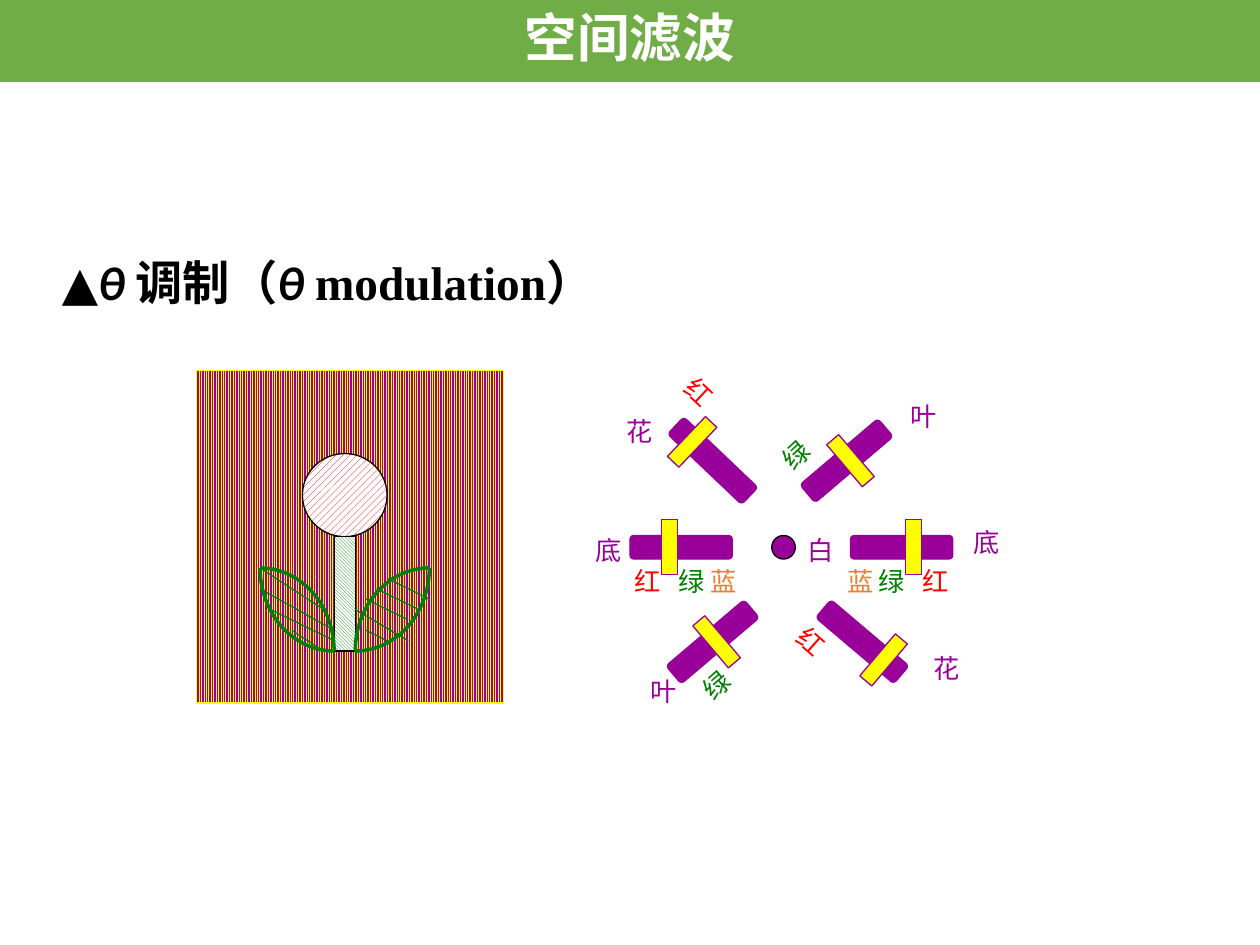
from dataclasses import dataclass
from math import cos, pi, sin

from lxml.etree import SubElement
from pptx import Presentation
from pptx.dml.color import RGBColor
from pptx.enum.dml import MSO_PATTERN
from pptx.enum.shapes import MSO_CONNECTOR, MSO_SHAPE
from pptx.enum.text import MSO_ANCHOR, MSO_AUTO_SIZE, PP_ALIGN
from pptx.oxml.ns import qn
from pptx.util import Inches, Pt


@dataclass
class Theme:
    black: str = "000000"
    white: str = "FFFFFF"
    band: str = "70AD47"
    purple: str = "990099"
    yellow: str = "FFFF00"
    red: str = "FF0000"
    green: str = "008000"
    blue: str = "ED7D31"
    head: int = 30
    title: int = 27
    label: int = 15
    thin: float = 0.75
    thick: float = 2
    sans: str = "Calibri"
    serif: str = "Times New Roman"
    slab: str = "Roboto Slab"


look = Theme()
rgb = RGBColor.from_string


def draw(pen, kind, box, fill, line=None, turn=0, pattern=None):
    """Add a preset shape; with a pattern, fill is (front, back)."""
    shape = pen.add_shape(kind, *[Inches(n) for n in box])
    shape.shadow.inherit = False
    shape.rotation = turn
    if pattern:
        shape.fill.patterned()
        shape.fill.pattern = pattern
        shape.fill.fore_color.rgb = rgb(fill[0])
        shape.fill.back_color.rgb = rgb(fill[1])
    else:
        shape.fill.solid()
        shape.fill.fore_color.rgb = rgb(fill)
    if line:
        shape.line.color.rgb = rgb(line)
        shape.line.width = Pt(look.thin)
    else:
        shape.line.fill.background()
    return shape


def write(para, text, size, font, color, bold=None, italic=None):
    run = para.add_run()
    run.text = text
    run.font.size = Pt(size)
    run.font.name = font
    run.font.color.rgb = rgb(color)
    run.font.bold = bold
    run.font.italic = italic


deck = Presentation()
deck.slide_width, deck.slide_height = Inches(10), Inches(7.5)
slide = deck.slides.add_slide(deck.slide_layouts[5])

# Title
title = slide.shapes.title
title.left, title.top = Inches(0.39), Inches(1.98)
title.width, title.height = Inches(4.53), Inches(0.56)
frame = title.text_frame
frame.word_wrap = True
frame.auto_size = MSO_AUTO_SIZE.NONE
frame.vertical_anchor = MSO_ANCHOR.MIDDLE
para = frame.paragraphs[0]
para.alignment = PP_ALIGN.LEFT
para.line_spacing = 0.9
for text, font, italic in [
    ("▲", look.sans, False), ("θ ", look.sans, True),
    ("调制（", look.sans, False), ("θ ", look.sans, True),
    ("modulation", look.serif, False), ("）", look.sans, False),
]:
    write(para, text, look.title, font, look.black, True, italic)

# Flower on a grid of columns and rows
left, top, col, row = 1.56, 2.94, 0.084, 0.0825
pen = slide.shapes.add_group_shape().shapes
for kind, (x, y, w, h), fill, line, pattern in [
    (MSO_SHAPE.RECTANGLE, (0, 0, 29, 32), (look.yellow, look.purple),
     look.yellow, MSO_PATTERN.LIGHT_VERTICAL),
    (MSO_SHAPE.FLOWCHART_CONNECTOR, (10, 8, 8, 8), (look.red, look.white),
     look.black, MSO_PATTERN.WIDE_UPWARD_DIAGONAL),
    (MSO_SHAPE.RECTANGLE, (13, 16, 2, 11), (look.green, look.white),
     look.black, MSO_PATTERN.DARK_DOWNWARD_DIAGONAL),
]:
    box = (left + x * col, top + y * row, w * col, h * row)
    draw(pen, kind, box, fill, line, pattern=pattern)

# Leaf edges: quarter ellipses around a centre, towards a side
steps = 24
for x, y, across, down in [
    (6, 27, 1, -1), (13, 19, -1, 1), (22, 27, -1, -1), (15, 19, 1, 1),
]:
    dots = []
    for i in range(steps + 1):
        turn = i / steps * pi / 2
        dots.append((Inches(left + (x + across * 7 * sin(turn)) * col),
                     Inches(top + (y + down * 8 * cos(turn)) * row)))
    path = pen.build_freeform(*dots[0])
    path.add_line_segments(dots[1:], close=False)
    edge = path.convert_to_shape()
    edge.shadow.inherit = False
    edge.fill.background()
    edge.line.color.rgb = rgb(look.green)
    edge.line.width = Pt(look.thick)

# Leaf veins
for x, y, to_x, to_y in [
    (6, 19, 12, 23), (6, 21, 13, 25), (7, 23, 13, 26), (9, 25, 12, 27),
    (15, 23, 20, 26), (17, 21, 21, 23), (18, 20, 22, 22),
    (16, 25, 18, 26), (16, 22, 20, 24),
]:
    vein = pen.add_connector(
        MSO_CONNECTOR.STRAIGHT,
        Inches(left + x * col), Inches(top + y * row),
        Inches(left + to_x * col), Inches(top + to_y * row))
    vein.line.color.rgb = rgb(look.green)
    vein.line.width = Pt(look.thin)
    SubElement(vein._element.spPr, qn("a:effectLst"))

# Spectrum on a grid of sixteenths of an inch
unit = 1 / 16
pen = slide.shapes.add_group_shape().shapes
draw(pen, MSO_SHAPE.FLOWCHART_CONNECTOR,
     (98 * unit, 68 * unit, 3 * unit, 3 * unit), look.purple, look.black)

# Each arm is a bar with a slit across it
for bar_x, bar_y, slit_x, slit_y, turn in [
    (80, 68, 84, 66, 0), (103, 80, 111.2, 80.3, 40.3),
    (84, 57, 86.9, 52.6, 223.6), (108, 68, 115, 66, 0),
    (84, 80, 90, 78, 319.7), (101, 57, 107, 55, 319.7),
]:
    draw(pen, MSO_SHAPE.ROUNDED_RECTANGLE,
         (bar_x * unit, bar_y * unit, 13 * unit, 3 * unit),
         look.purple, look.purple, turn)
    draw(pen, MSO_SHAPE.RECTANGLE,
         (slit_x * unit, slit_y * unit, 2 * unit, 7 * unit),
         look.yellow, look.purple, turn)

# Labels: place, width, turn, tab stops, words with colours
one, wide = 0.41, 1.1
for x, y, width, turn, tabs, words in [
    (78, 52, one, 0, [], [("花", look.purple)]),
    (117, 82, one, 0, [], [("花", look.purple)]),
    (74, 67, one, 0, [], [("底", look.purple)]),
    (122, 66, one, 0, [], [("底", look.purple)]),
    (81, 85, one, 0, [], [("叶", look.purple)]),
    (114, 50, one, 0, [], [("叶", look.purple)]),
    (79, 71, wide, 0, [0.35, 0.6],
     [("红\t", look.red), ("绿\t", look.green), ("蓝", look.blue)]),
    (106, 71, wide, 0, [0.25, 0.6],
     [("蓝\t", look.blue), ("绿\t", look.green), ("红", look.red)]),
    (87.7, 84.2, one, 318.7, [], [("绿", look.green)]),
    (99.8, 78.7, one, 41.3, [], [("红", look.red)]),
    (84, 50.7, wide, 43.1, [], [("红", look.red)]),
    (97.8, 54.9, one, 316.9, [], [("绿", look.green)]),
    (101, 67, one, 0, [], [("白", look.purple)]),
]:
    label = pen.add_textbox(Inches(x * unit), Inches(y * unit),
                            Inches(width), Inches(0.35))
    label.rotation = turn
    label.text_frame.word_wrap = width == wide
    para = label.text_frame.paragraphs[0]
    if tabs:
        stops = SubElement(para._p.get_or_add_pPr(), qn("a:tabLst"))
        for stop in tabs:
            SubElement(stops, qn("a:tab"), pos=str(Inches(stop)), algn="l")
    for text, color in words:
        write(para, text, look.label, look.slab, color)

# Heading band
band = draw(slide.shapes, MSO_SHAPE.RECTANGLE, (0, 0, 10, 0.65), look.band)
frame = band.text_frame
frame.vertical_anchor = MSO_ANCHOR.MIDDLE
frame.margin_left = frame.margin_right = Inches(0.07)
frame.margin_top = frame.margin_bottom = Inches(0.04)
para = frame.paragraphs[0]
para.alignment = PP_ALIGN.CENTER
para.line_spacing = 0.9
write(para, "空间滤波", look.head, look.sans, look.white, True)

deck.save("out.pptx")
